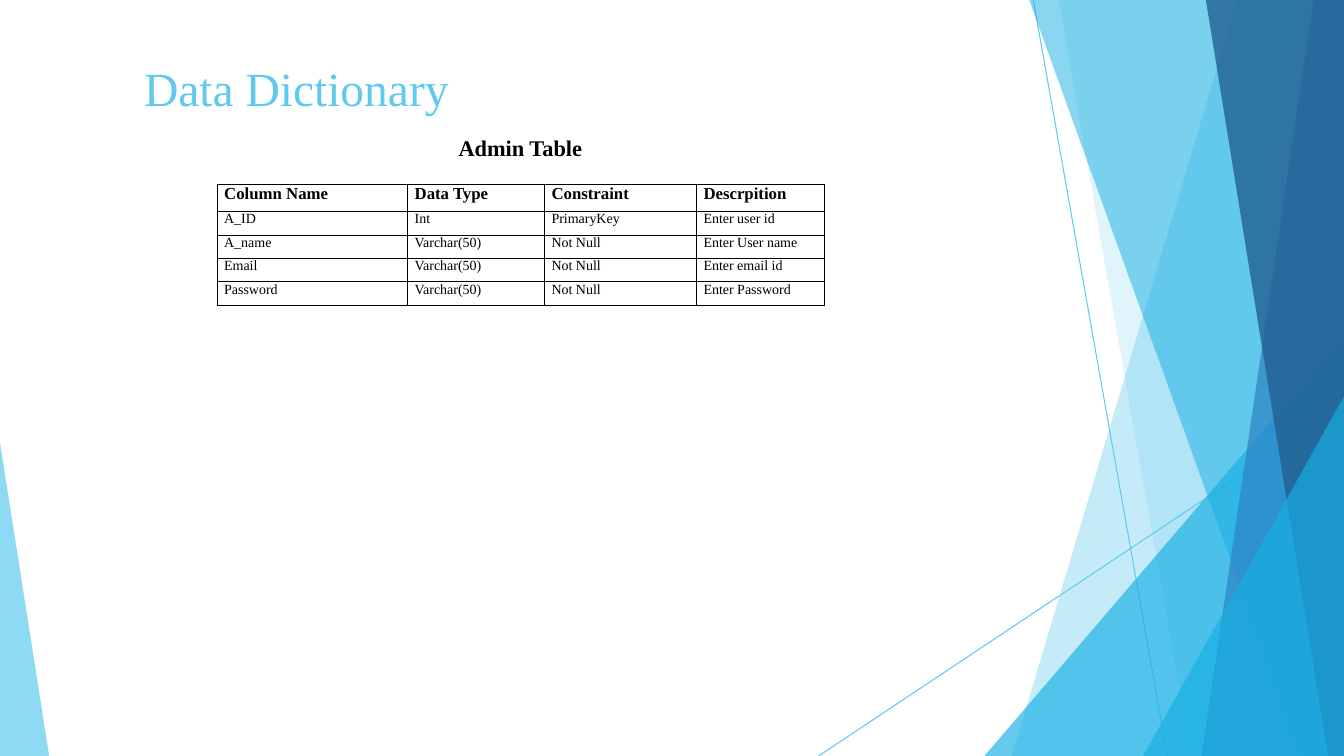
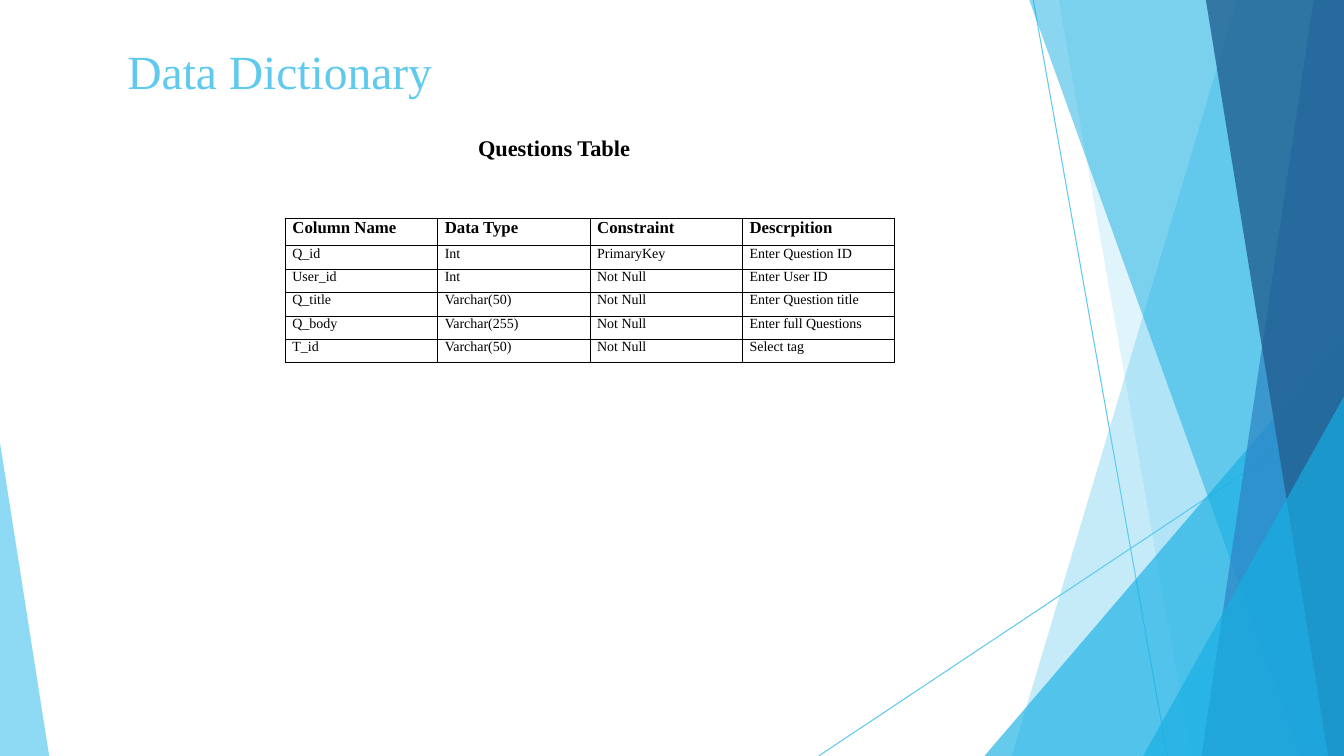
from lxml import etree
from pptx import Presentation
from pptx import util as u
from pptx.dml.color import RGBColor
from pptx.enum import shapes, text
from pptx.oxml import ns

WIDTH, HEIGHT = 33.87, 19.05  # slide size in cm
HEADER_ROW, BODY_ROW = 0.69, 0.59
SKY, CYAN, BLUE, NAVY, BLACK = "5FCAEE", "17AFE3", "2D83C3", "226192", "000000"

# Thin lines: start and end point
RAYS = [((26.04, 0), (29.42, HEIGHT)), ((WIDTH, 10.24), (20.63, HEIGHT))]

# Translucent bands: colour, opacity in percent, corners
TOP_RIGHT, BOTTOM_RIGHT = (WIDTH, 0), (WIDTH, HEIGHT)
BANDS = [
    (SKY, 36, [TOP_RIGHT, (31.18, 0), (25.5, HEIGHT), BOTTOM_RIGHT]),
    (SKY, 20, [TOP_RIGHT, (26.68, 0), (30.02, HEIGHT), BOTTOM_RIGHT]),
    (CYAN, 66, [(WIDTH, 8.47), (24.81, HEIGHT), BOTTOM_RIGHT]),
    (CYAN, 50, [TOP_RIGHT, (25.94, 0), (32.79, HEIGHT), BOTTOM_RIGHT]),
    (BLUE, 70, [TOP_RIGHT, (33.1, 0), (30.28, HEIGHT), BOTTOM_RIGHT]),
    (NAVY, 80, [TOP_RIGHT, (30.39, 0), (33.47, HEIGHT), BOTTOM_RIGHT]),
    (CYAN, 66, [(WIDTH, 9.99), (28.81, HEIGHT), BOTTOM_RIGHT]),
    (SKY, 70, [(0, 11.15), (0, HEIGHT), (1.24, HEIGHT)]),
]

# Table contents
HEADER = ["Column Name", "Data Type", "Constraint", "Descrpition"]
ADMIN = [
    ["A_ID", "Int", "PrimaryKey", "Enter user id"],
    ["A_name", "Varchar(50)", "Not Null", "Enter User name"],
    ["Email", "Varchar(50)", "Not Null", "Enter email id"],
    ["Password", "Varchar(50)", "Not Null", "Enter Password"],
]
QUESTIONS = [
    ["Q_id", "Int", "PrimaryKey", "Enter Question ID"],
    ["User_id", "Int", "Not Null", "Enter User ID"],
    ["Q_title", "Varchar(50)", "Not Null", "Enter Question title"],
    ["Q_body", "Varchar(255)", "Not Null", "Enter full Questions"],
    ["T_id", "Varchar(50)", "Not Null", "Select tag"],
]


def colour(hex_code):
    return RGBColor.from_string(hex_code)


def points(*lengths):
    return [u.Cm(length) for length in lengths]


class Deck:
    font = "Times New Roman"

    def __init__(self):
        self.prs = Presentation()
        self.prs.slide_width, self.prs.slide_height = points(WIDTH, HEIGHT)
        self.layout = self.prs.slide_layouts[5]
        self.slide = None
        # The layout keeps only its title
        for holder in list(self.layout.placeholders)[1:]:
            holder.element.getparent().remove(holder.element)

    def new_slide(self):
        self.slide = self.prs.slides.add_slide(self.layout)

    def to_layout(self, shape):
        self.layout.element.cSld.spTree.append(shape.element)

    def ray(self, start, end):
        line = self.slide.shapes.add_connector(
            shapes.MSO_CONNECTOR.STRAIGHT, *points(*start, *end))
        line.line.color.rgb = colour(SKY)
        line.line.width = u.Pt(0.75)
        etree.SubElement(line.element.spPr, ns.qn("a:effectLst"))
        return line

    def band(self, fill, opacity, corners):
        first, *others = [points(*corner) for corner in corners]
        builder = self.slide.shapes.build_freeform(*first)
        builder.add_line_segments(others, close=True)
        band = builder.convert_to_shape()
        band.shadow.inherit = False
        band.line.fill.background()
        band.fill.solid()
        band.fill.fore_color.rgb = colour(fill)
        tint = band.element.spPr.find(".//" + ns.qn("a:srgbClr"))
        etree.SubElement(tint, ns.qn("a:alpha"), val=str(opacity * 1000))
        return band

    def put_text(self, frame, words, size, ink, bold=False, indent=0.0,
                 align=text.PP_ALIGN.LEFT):
        frame.margin_left = u.Cm(indent)
        frame.margin_right = frame.margin_top = frame.margin_bottom = 0
        frame.vertical_anchor = text.MSO_ANCHOR.TOP
        # A cell holds its margins itself and its text in a frame
        paragraph = getattr(frame, "text_frame", frame).paragraphs[0]
        paragraph.alignment = align
        run = paragraph.add_run()
        run.text = words
        run.font.name, run.font.size, run.font.bold = self.font, u.Pt(size), bold
        run.font.color.rgb = colour(ink)

    def title(self, words, left, top):
        title = self.slide.shapes.title
        title.left, title.top, title.width, title.height = points(
            left, top, 9.07, 1.5)
        title.text_frame.auto_size = text.MSO_AUTO_SIZE.NONE
        self.put_text(title.text_frame, words, 34, SKY, indent=0.03)

    def caption(self, words, left, top, width):
        caption = self.slide.shapes.add_textbox(*points(left, top, width, 0.69))
        caption.text_frame.word_wrap = True
        self.put_text(caption.text_frame, words, 16, BLACK, bold=True,
                      align=text.PP_ALIGN.CENTER)

    def border(self, cell):
        props = cell._tc.get_or_add_tcPr()
        for side in ("lnL", "lnR", "lnT", "lnB"):
            edge = etree.SubElement(props, ns.qn("a:" + side), w=str(u.Pt(0.58)))
            fill = etree.SubElement(edge, ns.qn("a:solidFill"))
            etree.SubElement(fill, ns.qn("a:srgbClr"), val=BLACK)

    def table(self, left, top, widths, rows):
        heights = [HEADER_ROW if row is HEADER else BODY_ROW for row in rows]
        table = self.slide.shapes.add_table(
            len(rows), len(widths),
            *points(left, top, sum(widths), sum(heights))).table
        table.first_row = table.horz_banding = False
        for column, width in zip(table.columns, widths):
            column.width = u.Cm(width)
        for line, height, row in zip(table.rows, heights, rows):
            line.height = u.Cm(height)
            for cell, words in zip(line.cells, row):
                is_header = row is HEADER
                self.put_text(cell, words, 12 if is_header else 10, BLACK,
                              bold=is_header, indent=0.18)
                self.border(cell)
                cell.fill.background()


def main():
    deck = Deck()

    # Admin slide, and the backdrop that the layout gives to every slide
    deck.new_slide()
    for start, end in RAYS:
        deck.to_layout(deck.ray(start, end))
    for fill, opacity, corners in BANDS:
        deck.to_layout(deck.band(fill, opacity, corners))
    deck.title("Data Dictionary", 3.6, 1.48)
    deck.caption("Admin Table", 11, 3.39, 4.23)
    deck.table(5.47, 4.64, [4.8, 3.45, 3.83, 3.23], [HEADER] + ADMIN)

    # Questions slide: the header row is a table of its own
    deck.new_slide()
    deck.title("Data Dictionary", 3.18, 1.06)
    deck.caption("Questions Table", 11, 3.39, 5.93)
    left, top, widths = 7.19, 5.5, [3.84] * len(HEADER)
    deck.table(left, top, widths, [HEADER])
    deck.table(left, top + HEADER_ROW, widths, QUESTIONS)

    deck.prs.save("out.pptx")


if __name__ == "__main__":
    main()
